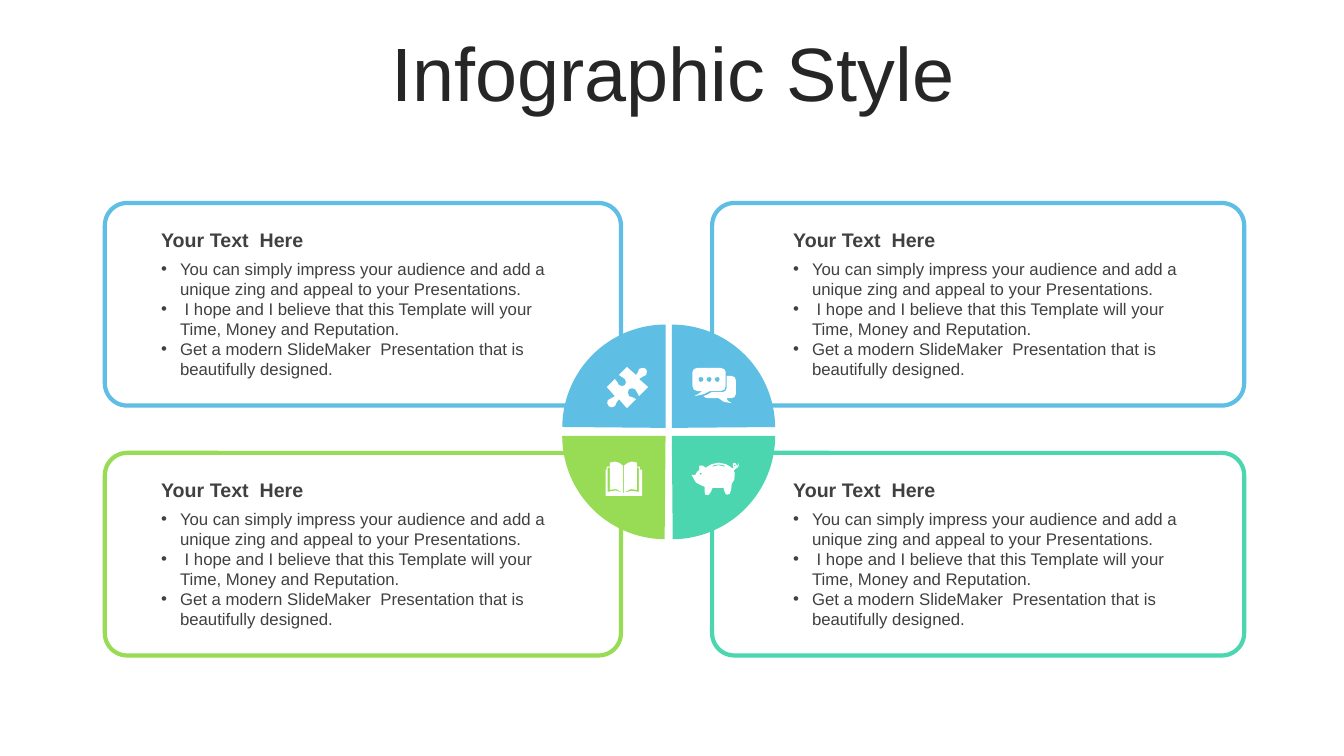
from dataclasses import dataclass

from lxml import etree
from pptx import Presentation
from pptx import util as u
from pptx.dml.color import RGBColor
from pptx.enum import shapes, text
from pptx.oxml import ns


@dataclass(frozen=True)
class Theme:
    font: str = "Arial"
    title: str = "262626"
    ink: str = "404040"
    white: str = "FFFFFF"
    blue: str = "5EBEE4"
    teal: str = "4CD6B0"
    green: str = "98DC56"
    big: int = 54
    head: int = 14
    body: int = 12


THEME = Theme()
HEAD = "Your Text  Here"
POINTS = (
    "You can simply impress your audience and add a unique zing and appeal to your Presentations.",
    " I hope and I believe that this Template will your Time, Money and Reputation.",
    "Get a modern SlideMaker  Presentation that is beautifully designed.",
)
CARD_TOP, CARD_TALL, ROW_STEP = 145, 144.72, 178.5
CARD_SIDES = ((74.88, 368.64), (508.7, 380))
TEXT_LEFTS = (108, 559.44)
PIE_LEFTS, PIE_TOPS, PIE_SIZE = (401.6, 406.08), (231.84, 237.6), 147.6
ICON_LEFTS, ICON_TOPS, ICON_UNIT = (432, 489.6), (259.2, 324), 0.72
FINE, STEPS = 10, 2

PUZZLE = """
M 41 6 C 42 7 42 10 41 12 C 39 14 37 13 34 16 L 43 24 L 34 33
C 31 30 33 28 30 26 C 28 25 26 25 24 26 C 23 28 22 31 24 33
C 27 35 28 33 31 36 L 22 45 L 14 36 C 11 39 12 40 10 43
C 8 45 5 44 4 43 C 2 41 2 39 3 37 C 5 34 8 36 10 33 L 2 24 L 10 16
C 13 18 12 20 14 22 C 16 24 19 23 20 22 C 21 21 22 18 20 16
C 17 13 17 15 14 12 L 22 4 L 31 12 C 34 10 32 9 34 6 C 36 4 39 5 41 6
"""
BOOK = """
M 18 39 L 19 39 C 25 37 28 36 34 38 L 34 14 L 32 14 L 32 36
C 28 34 23 35 19 39 L 19 12 C 22 10 24 8 27 8 L 32 9
L 32 13 L 35 13 L 35 16 L 37 16 L 37 42 L 1 42 L 1 16 L 2 16 L 2 13
L 5 13 L 5 9 L 10 8 C 13 8 16 10 18 12 L 18 39
C 14 35 9 34 5 36 L 5 14 L 3 14 L 3 38 C 9 35 13 37 18 39
"""
CHAT = """
M 32 14 C 30 14 29 15 29 16 C 29 18 30 19 32 19 C 33 19 34 18 34 16 C 34 15 33 14 32 14
M 24 14 C 22 14 21 15 21 16 C 21 18 22 19 24 19 C 25 19 26 18 26 16 C 26 15 25 14 24 14
M 15 14 C 14 14 13 15 13 16 C 13 18 14 19 15 19 C 17 19 18 18 18 16 C 18 15 17 14 15 14
M 41 13 L 46 13 C 48 13 50 15 50 17 L 50 31 C 50 33 48 35 46 35 L 41 35
C 42 37 41 38 46 40 C 38 39 37 39 33 35 L 22 35 C 20 35 19 34 18 33
C 21 32 23 31 26 29 L 37 29 C 39 29 41 27 41 25 L 41 13
M 12 5 L 35 5 C 38 5 40 7 40 9 L 40 23 C 40 26 38 28 35 28 L 24 28
C 19 31 17 32 9 33 C 14 30 14 30 17 28 L 12 28 C 9 28 7 26 7 23
L 7 9 C 7 7 9 5 12 5
"""
PIG = """
M 15 19 L 14 20 L 15 21 L 17 20 L 15 19
M 49 11 L 48 12 L 49 13 L 50 12 L 49 11
M 33 11 C 31 11 29 11 27 12 L 27 13 C 31 11 35 11 39 13 L 39 12 C 37 11 35 11 33 11
M 33 9 C 38 9 43 11 46 14 L 47 15 L 48 14 L 47 12
C 47 10 47 9 49 9 C 50 9 51 11 51 12 L 51 13 L 53 9
C 54 13 52 14 50 15 L 48 17 L 49 19 C 50 24 48 28 46 30
C 46 35 45 37 44 40 C 43 41 40 41 40 40 C 39 38 38 36 38 34 L 27 34
C 26 37 25 39 23 41 L 20 41 C 19 41 19 36 19 33 C 15 31 5 28 6 21 L 10 21
C 11 19 12 17 14 16 C 14 14 13 12 14 12 C 17 10 18 13 20 14 C 23 11 29 9 33 9
"""
QUADS = (
    (0, 0, THEME.blue, 180.5, 270, PUZZLE),
    (1, 0, THEME.blue, 270, 359.5, CHAT),
    (1, 1, THEME.teal, 0, 89.5, PIG),
    (0, 1, THEME.green, 90.5, 180, BOOK),
)


def paint(shape, fill, line=None):
    shape.shadow.inherit = False
    shape.fill.solid()
    shape.fill.fore_color.rgb = RGBColor.from_string(fill)
    if line:
        shape.line.color.rgb = RGBColor.from_string(line)
        shape.line.width = u.Pt(3)
    else:
        shape.line.fill.background()


def add_card(slide, left, top, width, hue):
    card = slide.shapes.add_shape(shapes.MSO_SHAPE.ROUNDED_RECTANGLE,
                                  u.Pt(left), u.Pt(top), u.Pt(width), u.Pt(CARD_TALL))
    card.adjustments[0] = 0.11
    paint(card, THEME.white, hue)


def add_pie(slide, left, top, hue, start, end):
    pie = slide.shapes.add_shape(shapes.MSO_SHAPE.PIE, u.Pt(left), u.Pt(top),
                                 u.Pt(PIE_SIZE), u.Pt(PIE_SIZE))
    pie.adjustments[0], pie.adjustments[1] = start * 0.6, end * 0.6
    paint(pie, hue)


def add_bullet(par):
    props = par._p.get_or_add_pPr()
    props.set("marL", str(u.Pt(13.5)))
    props.set("indent", str(-u.Pt(13.5)))
    etree.SubElement(props, ns.qn("a:buFont"), typeface=THEME.font)
    etree.SubElement(props, ns.qn("a:buChar"), char="•")


def add_text(slide, box, lines, size, hue, bold=False):
    frame = slide.shapes.add_textbox(*map(u.Pt, box)).text_frame
    frame.word_wrap = True
    frame.auto_size = text.MSO_AUTO_SIZE.SHAPE_TO_FIT_TEXT
    for i, line in enumerate(lines):
        par = frame.paragraphs[0] if i == 0 else frame.add_paragraph()
        par.text = line
        par.font.name, par.font.size, par.font.bold = THEME.font, u.Pt(size), bold
        par.font.color.rgb = RGBColor.from_string(hue)
    return frame


def add_title(slide):
    frame = add_text(slide, (25.2, 26.64, 911.52, 56.88), ["Infographic Style"],
                     THEME.big, THEME.title)
    frame.auto_size = text.MSO_AUTO_SIZE.NONE
    frame.vertical_anchor = text.MSO_ANCHOR.MIDDLE
    par = frame.paragraphs[0]
    par.alignment = text.PP_ALIGN.CENTER
    par.line_spacing, par.space_before = 0.9, u.Pt(10)


def add_note(slide, left, top):
    add_text(slide, (left, top + 14.2, 289.44, 24.48), [HEAD], THEME.head, THEME.ink, True)
    frame = add_text(slide, (left, top + 36, 289.44, 94.32), POINTS, THEME.body, THEME.ink)
    for par in frame.paragraphs:
        add_bullet(par)


def curve(a, b, c, d):
    for i in range(1, STEPS + 1):
        t = i / STEPS
        s = 1 - t
        yield tuple(s**3 * p + 3 * s * s * t * q + 3 * s * t * t * r + t**3 * e
                    for p, q, r, e in zip(a, b, c, d))


def trace(outline):
    rings = []
    for ring in outline.split("M")[1:]:
        dots = []
        for part in ring.replace("L", "|L").replace("C", "|C").split("|"):
            nums = [int(n) * FINE for n in part.strip("LC \n").split()]
            pairs = list(zip(nums[::2], nums[1::2]))
            dots += curve(dots[-1], *pairs) if part[0] == "C" else pairs
        rings.append(dots[:-1])
    return rings


def add_icon(slide, left, top, outline):
    rings = trace(outline)
    pen = slide.shapes.build_freeform(*rings[0][0], scale=u.Pt(ICON_UNIT) / FINE)
    for i, ring in enumerate(rings):
        if i:
            pen.move_to(*ring[0])
        pen.add_line_segments(ring[1:], close=True)
    paint(pen.convert_to_shape(u.Pt(left), u.Pt(top)), THEME.white)


def main():
    deck = Presentation()
    deck.slide_width, deck.slide_height = u.Pt(960), u.Pt(540)
    slide = deck.slides.add_slide(deck.slide_layouts[6])
    add_title(slide)
    for col, row, hue, *_ in QUADS:
        left, width = CARD_SIDES[col]
        add_card(slide, left, CARD_TOP + row * ROW_STEP, width, hue)
    for col, row, hue, start, end, _ in QUADS:
        add_pie(slide, PIE_LEFTS[col], PIE_TOPS[row], hue, start, end)
    for col, row, *_ in QUADS:
        add_note(slide, TEXT_LEFTS[col], CARD_TOP + row * ROW_STEP)
    for col, row, *_, icon in QUADS:
        add_icon(slide, ICON_LEFTS[col], ICON_TOPS[row], icon)
    deck.save("out.pptx")


if __name__ == "__main__":
    main()
